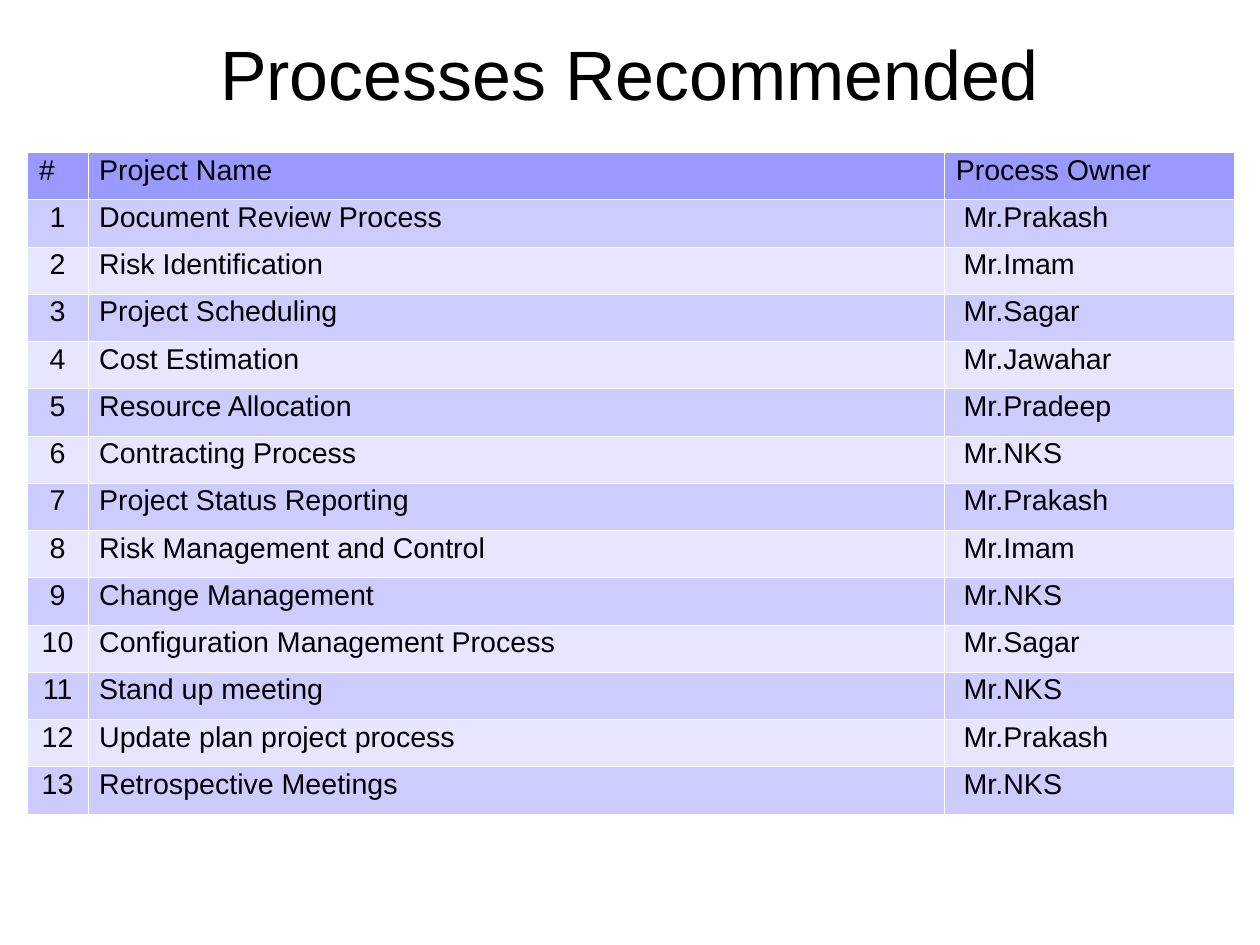
from lxml import etree
from pptx import Presentation
from pptx import util as u
from pptx.dml import color
from pptx.enum import text
from pptx.oxml import ns

COLORS = {"ink": "000000", "header": "9999FF", "odd": "CCCCFF",
          "even": "E6E6FF", "border": "FFFFFF"}
FONT = "Arial"
BORDER_WIDTH = u.Pt(0.06)
COLUMN_SHARES = (0.05, 0.71, 0.24)
CELL_MARGINS = {"margin_left": u.Inches(0.1), "margin_right": u.Inches(0.1),
                "margin_top": u.Inches(0.05), "margin_bottom": u.Inches(0.05)}
OWNER_INDENT = u.Inches(0.17)
HEADINGS = ("#", "Project Name", "Process Owner")
PROCESSES = (
    ("Document Review Process", "Mr.Prakash"),
    ("Risk Identification", "Mr.Imam"),
    ("Project Scheduling", "Mr.Sagar"),
    ("Cost Estimation", "Mr.Jawahar"),
    ("Resource Allocation", "Mr.Pradeep"),
    ("Contracting Process", "Mr.NKS"),
    ("Project Status Reporting", "Mr.Prakash"),
    ("Risk Management and Control", "Mr.Imam"),
    ("Change Management", "Mr.NKS"),
    ("Configuration Management Process", "Mr.Sagar"),
    ("Stand up meeting", "Mr.NKS"),
    ("Update plan project process", "Mr.Prakash"),
    ("Retrospective Meetings", "Mr.NKS"),
)


def apply(target, values):
    """Set every attribute in values on target."""
    for name, value in values.items():
        setattr(target, name, value)


def percent_box(deck, left, top, width, height):
    """Turn percentages of the slide's size into a box of lengths."""
    across, down = deck.slide_width, deck.slide_height
    return [int(share * size / 100) for share, size in
            zip((left, top, width, height), (across, down, across, down))]


def write(frame, words, size, spacing, alignment):
    """Put one formatted paragraph into a text frame."""
    line = frame.paragraphs[0]
    apply(line, {"alignment": alignment, "line_spacing": spacing})
    run = line.add_run()
    run.text = words
    apply(run.font, {"size": u.Pt(size), "name": FONT})
    run.font.color.rgb = color.RGBColor.from_string(COLORS["ink"])


def border(cell):
    """Draw a hairline on all four sides of a cell."""
    properties = cell._tc.get_or_add_tcPr()
    for position, side in enumerate(("lnL", "lnR", "lnT", "lnB")):
        line = etree.Element(ns.qn(f"a:{side}"), w=str(BORDER_WIDTH))
        fill = etree.SubElement(line, ns.qn("a:solidFill"))
        etree.SubElement(fill, ns.qn("a:srgbClr"), val=COLORS["border"])
        properties.insert(position, line)


def add_heading(slide, box):
    """Place the centred slide heading in the box."""
    frame = slide.shapes.add_textbox(*box).text_frame
    apply(frame, {"word_wrap": True, "vertical_anchor": text.MSO_ANCHOR.MIDDLE,
                  "margin_left": 0, "margin_right": 0,
                  "margin_top": u.Inches(0.05), "margin_bottom": 0})
    write(frame, "Processes Recommended", 44, 0.93, text.PP_ALIGN.CENTER)


def add_process_table(slide, box):
    """Fill the box with numbered processes and their owners."""
    entries = [HEADINGS] + [(str(number), *process) for number, process
                            in enumerate(PROCESSES, 1)]
    table = slide.shapes.add_table(len(entries), len(HEADINGS), *box).table
    for column, share in zip(table.columns, COLUMN_SHARES):
        column.width = int(box[2] * share)
    for row, entry in enumerate(entries):
        band = "header" if row == 0 else "odd" if row % 2 else "even"
        for column, words in enumerate(entry):
            cell = table.cell(row, column)
            apply(cell, CELL_MARGINS)
            if row and column == 2:
                cell.margin_left = OWNER_INDENT
            cell.fill.solid()
            cell.fill.fore_color.rgb = color.RGBColor.from_string(COLORS[band])
            border(cell)
            centred = row and column == 0
            write(cell.text_frame, words, 18, 0.87,
                  text.PP_ALIGN.CENTER if centred else text.PP_ALIGN.LEFT)


def main():
    """Build and save the one-slide deck."""
    deck = Presentation()
    apply(deck, {"slide_width": u.Mm(280), "slide_height": u.Mm(210)})
    slide = deck.slides.add_slide(deck.slide_layouts[6])
    add_heading(slide, percent_box(deck, 5, 2.4, 90, 11))
    add_process_table(slide, percent_box(deck, 2.18, 16.1, 95.75, 70))
    deck.save("out.pptx")


main()
